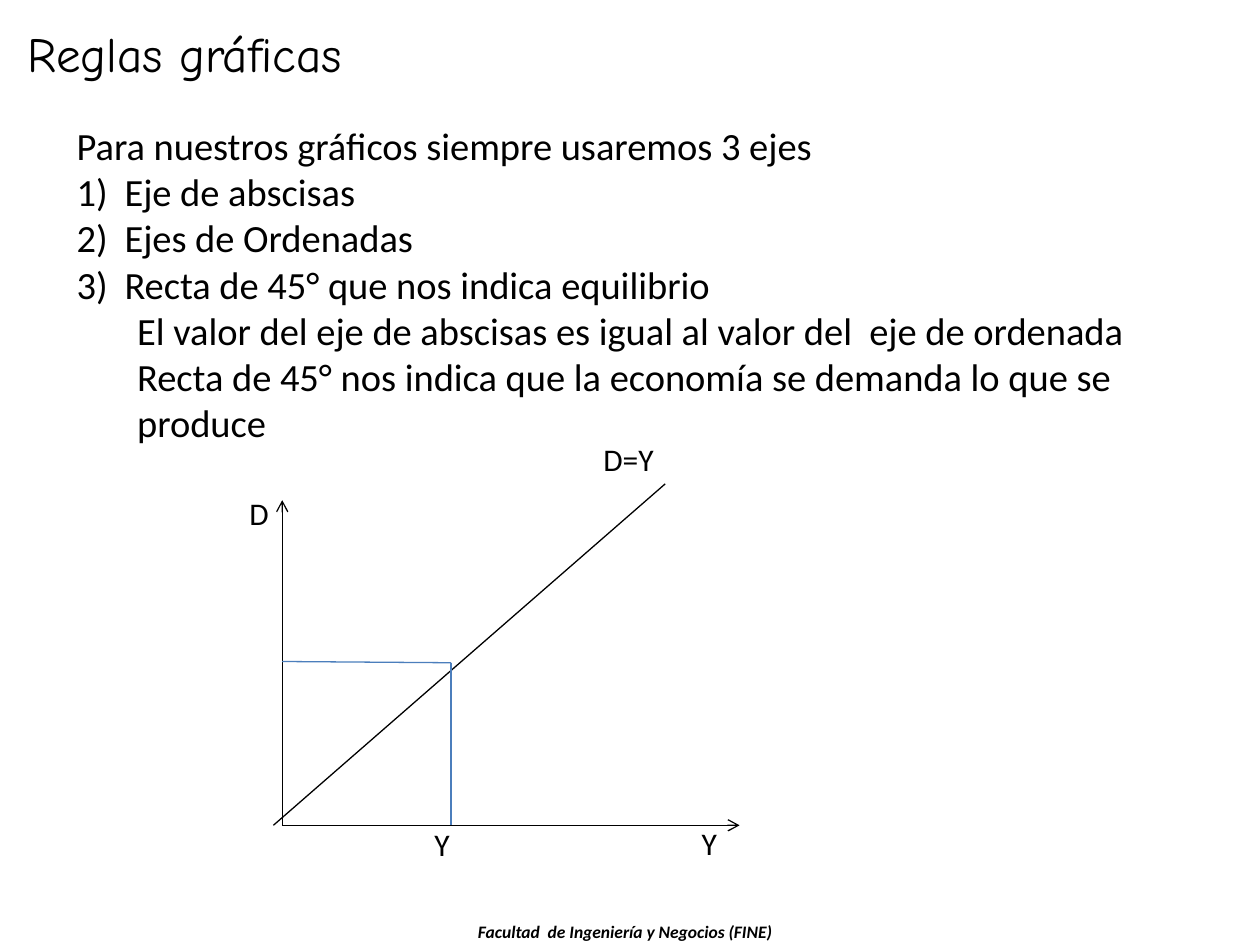
from lxml import etree
from pptx import Presentation
from pptx.dml.color import RGBColor
from pptx.enum.shapes import MSO_CONNECTOR
from pptx.enum.text import MSO_ANCHOR, PP_ALIGN
from pptx.oxml.ns import qn
from pptx.util import Inches, Pt

BLACK, BLUE = "000000", "4B7EBC"


def color(value):
    return RGBColor.from_string(value)


def add_text(left, top, width, height, lines, size, font="Calibri"):
    """Add a wrapped text box; each line is (text, indent, numbered)."""
    box = slide.shapes.add_textbox(Inches(left), Inches(top), Inches(width), Inches(height))
    frame = box.text_frame
    frame.word_wrap = True
    for index, (text, indent, numbered) in enumerate(lines):
        para = frame.paragraphs[0] if index == 0 else frame.add_paragraph()
        para.text = text
        if indent:
            props = para._p.get_or_add_pPr()
            props.set("marL", str(Inches(indent)))
            if numbered:
                props.set("indent", str(-Inches(indent)))
                etree.SubElement(props, qn("a:buAutoNum"), type="arabicParenR")
        para.font.name = font
        para.font.size = Pt(size)
        para.font.color.rgb = color(BLACK)
    return frame


deck = Presentation()
deck.slide_width, deck.slide_height = Inches(10), Inches(7.5)
slide = deck.slides.add_slide(deck.slide_layouts[6])

# Axes, 45° line and guides to the equilibrium point
axis_x, axis_y = 2.24, 6.55
point_x, point_y = 3.58, 5.26
lines = [
    (axis_x, axis_y, axis_x, 3.97, BLACK, True),
    (axis_x, axis_y, 5.87, axis_y, BLACK, True),
    (2.17, axis_y, 5.28, 3.84, BLACK, False),
    (point_x, point_y, point_x, axis_y, BLUE, False),
    (axis_x, 5.25, point_x, point_y, BLUE, False),
]
for x1, y1, x2, y2, line_color, has_arrow in lines:
    connector = slide.shapes.add_connector(
        MSO_CONNECTOR.STRAIGHT, Inches(x1), Inches(y1), Inches(x2), Inches(y2))
    connector.line.color.rgb = color(line_color)
    connector.line.width = Pt(0.75)
    if has_arrow:
        etree.SubElement(connector.line._get_or_add_ln(), qn("a:tailEnd"), type="arrow")
    etree.SubElement(connector._element.spPr, qn("a:effectLst"))

# Graph labels
for text, left, top, width in [
    ("D", 1.88, 3.87, 0.52),
    ("Y", 5.47, 6.49, 0.63),
    ("D=Y", 4.69, 3.44, 1.18),
    ("Y", 3.35, 6.5, 0.63),
]:
    add_text(left, top, width, 0.4, [(text, 0, False)], 18)

# Title
title = add_text(0.12, 0.05, 8.5, 0.65, [("Reglas gráficas", 0, False)], 28, "Comic Neue")
title.vertical_anchor = MSO_ANCHOR.BOTTOM

# Rules for the axes
add_text(0.51, 0.92, 8.98, 2.69, [
    ("Para nuestros gráficos siempre usaremos 3 ejes", 0, False),
    ("Eje de abscisas", 0.38, True),
    ("Ejes de Ordenadas", 0.38, True),
    ("Recta de 45° que nos indica equilibrio", 0.38, True),
    ("El valor del eje de abscisas es igual al valor del  eje de ordenada", 0.48, False),
    ("Recta de 45° nos indica que la economía se demanda lo que se produce", 0.48, False),
], 22)

# Footer
footer = add_text(2.52, 7.26, 4.88, 0.27,
                  [("Facultad  de Ingeniería y Negocios (FINE)", 0, False)], 10)
footer_para = footer.paragraphs[0]
footer_para.alignment = PP_ALIGN.CENTER
footer_para.font.bold = footer_para.font.italic = True

deck.save("out.pptx")
